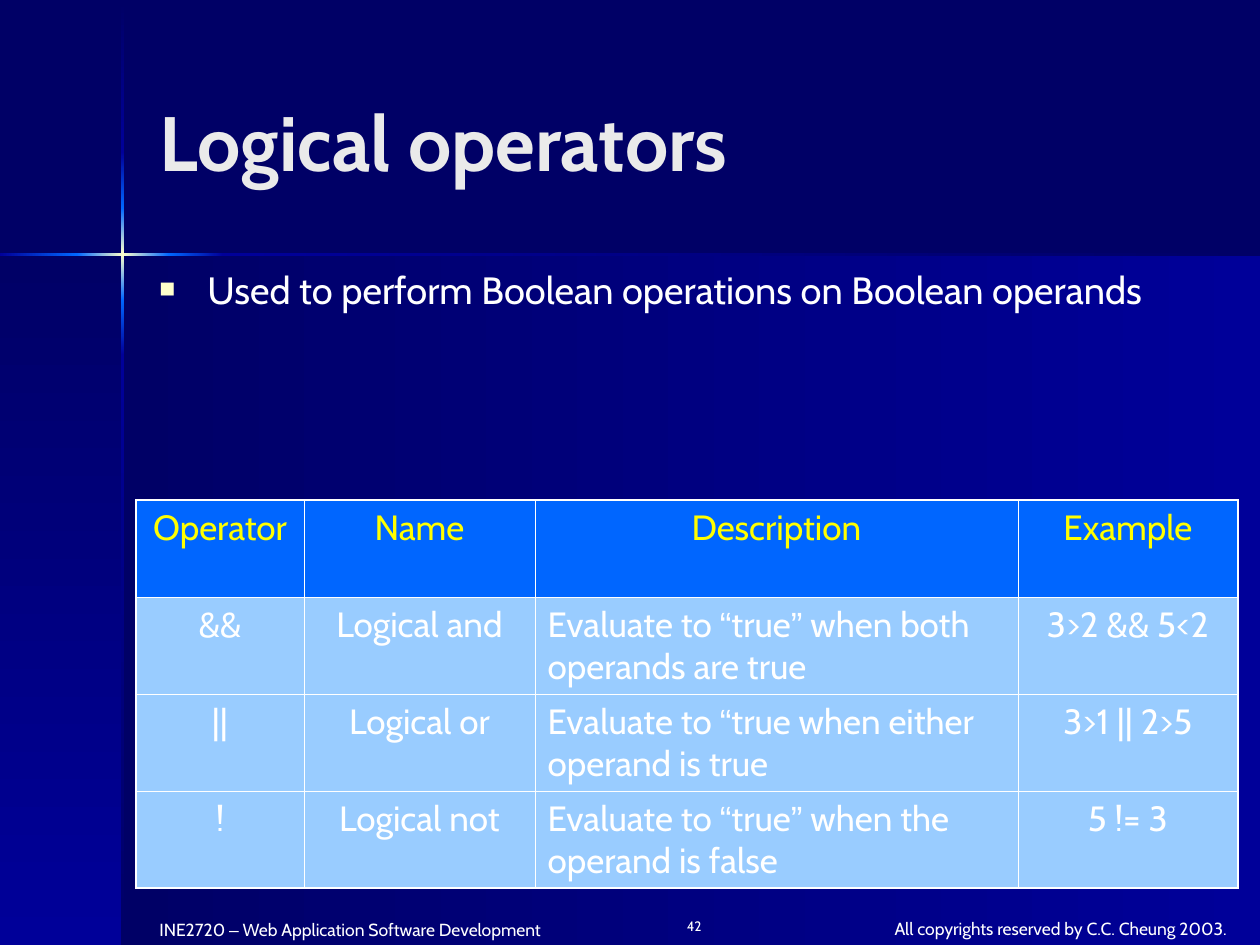
from itertools import groupby
from lxml.etree import SubElement
from pptx import Presentation
from pptx.dml.color import RGBColor
from pptx.enum.shapes import MSO_SHAPE
from pptx.enum.text import MSO_ANCHOR, PP_ALIGN
from pptx.oxml import parse_xml
from pptx.oxml.ns import nsdecls, qn
from pptx.util import Pt

HUES = {"night": "000066", "navy": "000099", "blue": "0066FF", "cream": "FFFFCC",
        "white": "FFFFFF", "pale": "EAEAEA", "gold": "FFFF00", "sky": "99CCFF"}
LEFT, MID, RIGHT = PP_ALIGN.LEFT, PP_ALIGN.CENTER, PP_ALIGN.RIGHT

DARK, RISE, FALL = ("night", "navy"), ("navy", "blue"), ("blue", "navy")
GLOW, FADE = ("blue", "cream", "blue"), ("navy", "night")
PANELS = [((122, 255, 1138, 690), DARK, 0), ((0, 255, 122, 690), DARK, 90)]
DOWN = [(1, 152, DARK), (152, 208, RISE), (208, 300, GLOW),
        (300, 355, FALL), (355, 945, FADE)]
ACROSS = [(0, 77, RISE), (77, 169, GLOW), (169, 223, FALL), (223, 1260, FADE)]

TITLE = "Logical operators"
POINT = "Used to perform Boolean operations on Boolean operands"
NOTES = [
    ("INE2720 – Web Application Software Development", (147, 913, 420, 32), 10, LEFT),
    ("All copyrights reserved by C.C. Cheung 2003.", (861, 912, 399, 33), 10, MID),
    ("42", (630, 912, 84, 33), 7.8, RIGHT),
]
ROWS = [
    ("Operator", "Name", "Description", "Example"),
    ("&&", "Logical and", "Evaluate to “true” when both operands are true", "3>2 && 5<2"),
    ("||", "Logical or", "Evaluate to “true when either operand is true", "3>1 || 2>5"),
    ("!", "Logical not", "Evaluate to “true” when the operand is false", "5 != 3"),
]
WIDTHS, TALL = (168, 231, 483, 220), 97


def px(num):
    return round(num * 914400 / 126)


def rgb(hue):
    return RGBColor.from_string(HUES[hue])


def band(box, stops, angle):
    shape = slide.shapes.add_shape(MSO_SHAPE.RECTANGLE, *map(px, box))
    shape.shadow.inherit = False
    marks = "".join(
        f'<a:gs pos="{100000 * i // (len(stops) - 1)}"><a:srgbClr val="{HUES[hue]}"/></a:gs>'
        for i, hue in enumerate(stops))
    shape.fill.background()
    props = shape.element.spPr
    props.replace(props.find(qn("a:noFill")), parse_xml(
        f'<a:gradFill {nsdecls("a")} rotWithShape="1"><a:gsLst>{marks}</a:gsLst>'
        f'<a:lin ang="{angle * 60000}" scaled="0"/></a:gradFill>'))
    shape.line.fill.background()


def write(frame, text, size, hue="white", align=LEFT, bold=False):
    frame.word_wrap = True
    para = frame.paragraphs[0]
    para.alignment = align
    para.font.size, para.font.bold = Pt(size), bold
    para.font.name = "Cabin"
    para.font.color.rgb = rgb(hue)
    for mark, chars in groupby(text, lambda char: char in "“”–"):
        run = para.add_run()
        run.text = "".join(chars)
        if mark:
            run.font.name = "Arial"
    return para


def label(box):
    return slide.shapes.add_textbox(*map(px, box)).text_frame


def bullet(para):
    props = para._p.get_or_add_pPr()
    props.set("marL", str(px(48)))
    props.set("indent", str(-px(48)))
    color = SubElement(props, qn("a:buClr"))
    SubElement(color, qn("a:srgbClr"), val=HUES["cream"])
    SubElement(props, qn("a:buSzPct"), val="70000")
    SubElement(props, qn("a:buFont"), typeface="Arial")
    SubElement(props, qn("a:buChar"), char="■")


def border(cell, row, col):
    edges = {"L": col == 0, "R": col == len(WIDTHS) - 1,
             "T": row == 0, "B": row == len(ROWS) - 1}
    props = cell._tc.get_or_add_tcPr()
    for side, outer in edges.items():
        line = SubElement(props, qn(f"a:ln{side}"), w=str(Pt(1.08 if outer else 0.45)))
        fill = SubElement(line, qn("a:solidFill"))
        SubElement(fill, qn("a:srgbClr"), val=HUES["white"])


deck = Presentation()
deck.slide_width, deck.slide_height = px(1260), px(945)
slide = deck.slides.add_slide(deck.slide_layouts[6])
slide.background.fill.solid()
slide.background.fill.fore_color.rgb = rgb("night")

for box, stops, angle in PANELS:
    band(box, stops, angle)
for top, end, stops in DOWN:
    band((121, top, 3, end - top), stops, 90)
for left, end, stops in ACROSS:
    band((left, 253, end - left, 3), stops, 0)

for text, box, size, align in NOTES:
    write(label(box), text, size, align=align)

frame = label((147, 42, 1040, 198))
frame.vertical_anchor = MSO_ANCHOR.MIDDLE
write(frame, TITLE, 44, "pale", bold=True)

frame = label((147, 273, 1040, 84))
bullet(frame.paragraphs[0])
write(frame, POINT, 21.7).line_spacing = 0.7

table = slide.shapes.add_table(len(ROWS), len(WIDTHS), px(136), px(500),
                               px(sum(WIDTHS)), px(TALL * len(ROWS))).table
table.first_row = table.horz_banding = False
for col, wide in enumerate(WIDTHS):
    table.columns[col].width = px(wide)
for row, texts in enumerate(ROWS):
    table.rows[row].height = px(TALL)
    for col, text in enumerate(texts):
        cell = table.cell(row, col)
        border(cell, row, col)
        cell.fill.solid()
        cell.fill.fore_color.rgb = rgb("sky" if row else "blue")
        write(cell.text_frame, text, 20, "white" if row else "gold",
              LEFT if row and col == 2 else MID)

deck.save("out.pptx")
